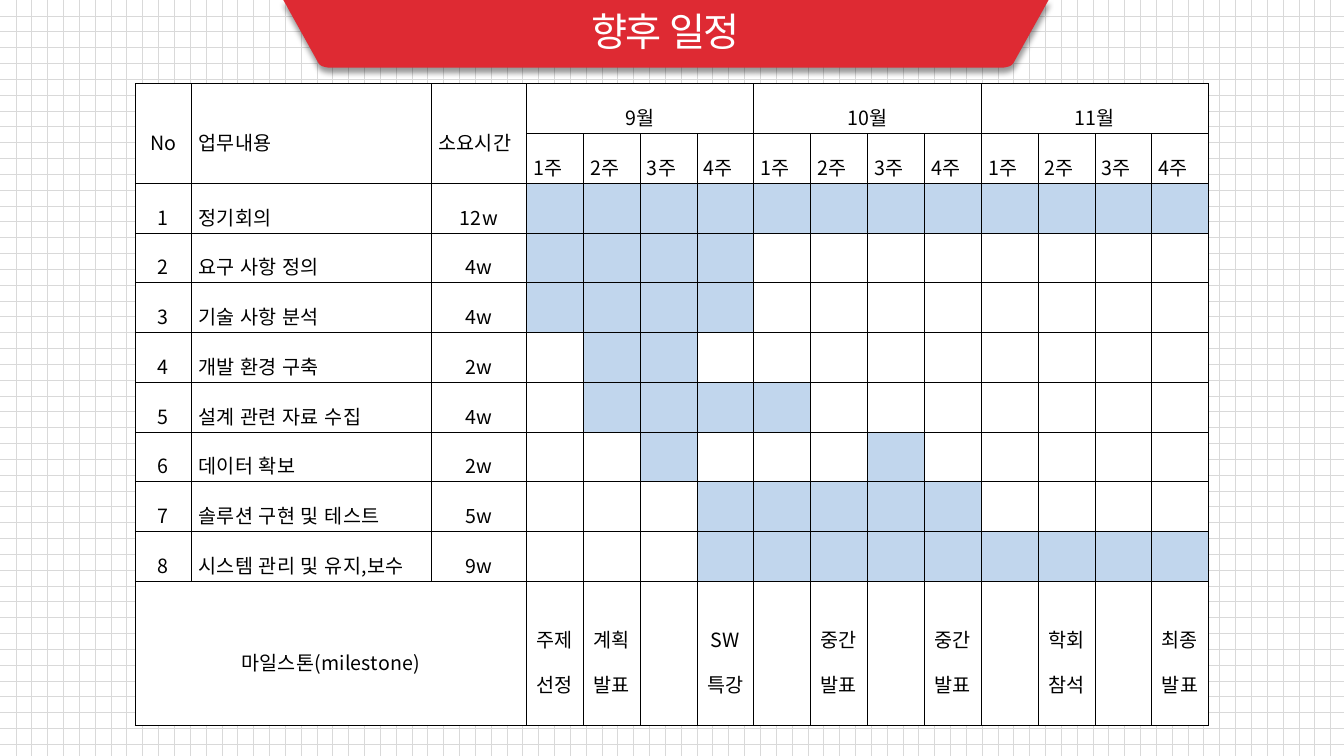
from dataclasses import dataclass

from lxml import etree
from pptx import Presentation
from pptx.dml.color import RGBColor
from pptx.enum import dml, lang, text
from pptx.oxml import ns
from pptx.util import Inches, Pt


@dataclass(frozen=True)
class Theme:
    font: str = "Noto Sans CJK KR"
    red: str = "DE2A33"
    white: str = "FFFFFF"
    black: str = "000000"
    grid: str = "D9D9D9"
    busy: str = "C1D6ED"
    title_size: int = 28
    table_size: int = 14
    border: float = 0.28


THEME = Theme()
CENTER, JUSTIFY = text.PP_ALIGN.CENTER, text.PP_ALIGN.JUSTIFY

MONTHS = ["9월", "10월", "11월"]
WEEKS_PER_MONTH = 4
WEEK_COUNT = len(MONTHS) * WEEKS_PER_MONTH
HEADINGS = [("No", CENTER), ("업무내용", JUSTIFY), ("소요시간", JUSTIFY)]
LEAD_WIDTHS = [0.56, 2.38, 0.94]
ROW_HEIGHTS = [0.38] + [0.45] * 9 + [1.43]

# Task, duration, busy weeks counted from 1
TASKS = [
    ("정기회의", "12w", range(1, 13)),
    ("요구 사항 정의", "4w", range(1, 5)),
    ("기술 사항 분석", "4w", range(1, 5)),
    ("개발 환경 구축", "2w", range(2, 4)),
    ("설계 관련 자료 수집", "4w", range(2, 6)),
    ("데이터 확보", "2w", (3, 7)),
    ("솔루션 구현 및 테스트", "5w", range(4, 9)),
    ("시스템 관리 및 유지,보수", "9w", range(4, 13)),
]
MILESTONES = {1: "주제선정", 2: "계획발표", 4: "SW\n특강", 6: "중간발표",
              8: "중간발표", 10: "학회참석", 12: "최종발표"}


def rgb(color):
    return RGBColor.from_string(color)


def add_xml(parent, tag, **attributes):
    return etree.SubElement(parent, ns.qn(tag), attributes)


def format_text(frame, size, color, align, line_spacing, tracking):
    """Style every run; tracking is in hundredths of a point."""
    frame.vertical_anchor = text.MSO_ANCHOR.MIDDLE
    for paragraph in frame.paragraphs:
        paragraph.alignment = align
        paragraph.line_spacing = line_spacing
        for run in paragraph.runs:
            run.font.size = Pt(size)
            run.font.name = THEME.font
            run.font.color.rgb = rgb(color)
            run.font.language_id = lang.MSO_LANGUAGE_ID.KOREAN
            properties = run.font.color and run._r.get_or_add_rPr()
            properties.set("spc", str(tracking))
            add_xml(properties, "a:ea", typeface=THEME.font)


def paint_background(slide):
    fill = slide.background.fill
    fill.patterned()
    fill.pattern = dml.MSO_PATTERN.DOTTED_GRID
    fill.fore_color.rgb = rgb(THEME.grid)
    fill.back_color.rgb = rgb(THEME.white)


def corner_points(start, control_1, control_2, end, steps=8):
    """Points along a cubic curve."""
    points = []
    for step in range(steps + 1):
        t = step / steps
        weights = ((1 - t) ** 3, 3 * t * (1 - t) ** 2, 3 * t * t * (1 - t), t ** 3)
        points.append(tuple(
            sum(w * p[axis] for w, p in zip(weights, (start, control_1, control_2, end)))
            for axis in (0, 1)))
    return points


def add_banner(slide, left, top, width, height):
    """Red trapezoid with rounded lower corners, carrying the title."""
    left_side = [(0, 0)] + corner_points(
        (0.34, height - 0.06), (0.36, height - 0.02),
        (0.38, height - 0.01), (0.44, height))
    right_side = [(width - x, y) for x, y in reversed(left_side)]
    outline = [(Inches(left + x), Inches(top + y)) for x, y in left_side + right_side]
    builder = slide.shapes.build_freeform(*outline[0])
    builder.add_line_segments(outline[1:], close=True)
    banner = builder.convert_to_shape()
    banner.fill.solid()
    banner.fill.fore_color.rgb = rgb(THEME.red)
    banner.line.fill.background()
    banner.shadow.inherit = False
    effects = banner.element.spPr.find(ns.qn("a:effectLst"))
    shadow = add_xml(effects, "a:outerShdw", blurRad=str(Pt(4)), dist=str(Pt(3)),
                     dir="5400000", algn="t", rotWithShape="0")
    shade = add_xml(shadow, "a:srgbClr", val=THEME.black)
    add_xml(shade, "a:alpha", val="40000")

    title = slide.shapes.title
    title.element.addprevious(banner.element)
    title.left, title.top = Inches(left + 2.96), Inches(top + 0.05)
    title.width, title.height = Inches(2.12), Inches(0.57)
    title.text_frame.text = "향후 일정"
    title.text_frame.auto_size = text.MSO_AUTO_SIZE.NONE
    format_text(title.text_frame, THEME.title_size, THEME.white,
                text.PP_ALIGN.LEFT, 0.9, -140)


def style_cell(cell, color):
    cell.fill.solid()
    cell.fill.fore_color.rgb = rgb(color)
    properties = cell._tc.get_or_add_tcPr()
    for index, side in enumerate(("a:lnL", "a:lnR", "a:lnT", "a:lnB")):
        border = add_xml(properties, side, w=str(Pt(THEME.border)))
        add_xml(add_xml(border, "a:solidFill"), "a:srgbClr", val=THEME.black)
        properties.insert(index, border)


def write_cell(cell, words, align=CENTER):
    cell.margin_left = cell.margin_right = Inches(0.07)
    cell.margin_top = cell.margin_bottom = Inches(0.02)
    cell.text_frame.text = words
    format_text(cell.text_frame, THEME.table_size, THEME.black, align, 1.6, 10)
    cell.vertical_anchor = text.MSO_ANCHOR.MIDDLE


def fill_header(schedule):
    for column, (heading, align) in enumerate(HEADINGS):
        schedule.cell(0, column).merge(schedule.cell(1, column))
        write_cell(schedule.cell(0, column), heading, align)
    for index, month in enumerate(MONTHS):
        first = len(HEADINGS) + index * WEEKS_PER_MONTH
        schedule.cell(0, first).merge(schedule.cell(0, first + WEEKS_PER_MONTH - 1))
        write_cell(schedule.cell(0, first), month)
        for week in range(WEEKS_PER_MONTH):
            write_cell(schedule.cell(1, first + week), f"{week + 1}주", JUSTIFY)


def fill_tasks(schedule):
    for number, (task, duration, busy_weeks) in enumerate(TASKS, 1):
        row = number + 1
        write_cell(schedule.cell(row, 0), str(number))
        write_cell(schedule.cell(row, 1), task, JUSTIFY)
        write_cell(schedule.cell(row, 2), duration)
        for week in busy_weeks:
            schedule.cell(row, week + 2).fill.fore_color.rgb = rgb(THEME.busy)


def fill_milestones(schedule):
    row = len(ROW_HEIGHTS) - 1
    schedule.cell(row, 0).merge(schedule.cell(row, 2))
    write_cell(schedule.cell(row, 0), "마일스톤(milestone)")
    for week, milestone in MILESTONES.items():
        write_cell(schedule.cell(row, week + 2), milestone)


def add_schedule(slide, left, top, width):
    week_width = (width - sum(LEAD_WIDTHS)) / WEEK_COUNT
    widths = LEAD_WIDTHS + [week_width] * WEEK_COUNT
    schedule = slide.shapes.add_table(
        len(ROW_HEIGHTS), len(widths), Inches(left), Inches(top),
        Inches(width), Inches(sum(ROW_HEIGHTS))).table
    schedule.first_row = schedule.horz_banding = False
    for column, column_width in zip(schedule.columns, widths):
        column.width = Inches(column_width)
    for row, row_height in zip(schedule.rows, ROW_HEIGHTS):
        row.height = Inches(row_height)
    for cell in schedule.iter_cells():
        style_cell(cell, THEME.white)
    fill_header(schedule)
    fill_tasks(schedule)
    fill_milestones(schedule)


def main():
    deck = Presentation()
    deck.slide_width, deck.slide_height = Inches(13.33), Inches(7.5)
    slide = deck.slides.add_slide(deck.slide_layouts[5])
    paint_background(slide)
    add_banner(slide, 2.81, 0, 7.59, 0.67)
    add_schedule(slide, 1.34, 0.83, 10.65)
    deck.save("out.pptx")


if __name__ == "__main__":
    main()
